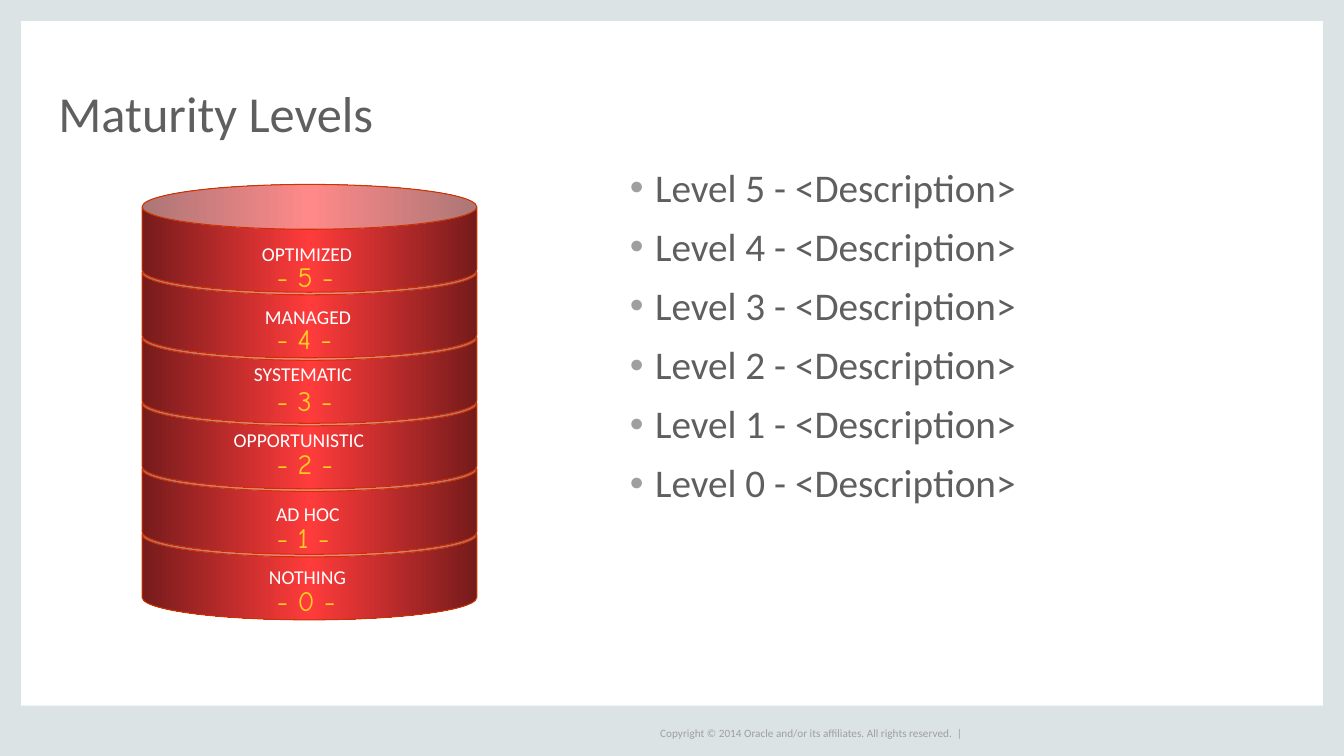
"""Build the Maturity Levels slide with a stack of six cans and a list of levels."""
from copy import deepcopy

from lxml.etree import SubElement
from pptx import Presentation
from pptx.dml.color import RGBColor
from pptx.enum.shapes import MSO_SHAPE
from pptx.enum.text import MSO_ANCHOR, MSO_AUTO_SIZE, PP_ALIGN
from pptx.oxml.ns import qn
from pptx.util import Pt

THEME = {
    "frame": "DCE3E4",
    "bullet": "9F9F9F",
    "edge": "CC3300",
    "red": ("761B1B", "FF3B3B", "761B1B"),
    "title": {"size": Pt(36), "name": "Calibri", "color": "5F5F5F"},
    "body": {"size": Pt(28), "name": "Calibri", "color": "5F5F5F"},
    "foot": {"size": Pt(8), "name": "Calibri", "color": "9F9F9F"},
    "label": {"size": Pt(14), "name": "Calibri", "color": "FFFFFF"},
    "digit": {"size": Pt(20), "name": "Comic Neue", "color": "FCCD22"},
}


def write(para, text, style):
    """Add a run of text in one of the theme styles."""
    run = para.add_run()
    run.text = text
    for key, value in THEME[style].items():
        if key == "color":
            run.font.color.rgb = RGBColor.from_string(value)
        else:
            setattr(run.font, key, value)


def add_box(left, top, width, height, **form):
    """Add a text box and set its frame from the format values."""
    box = slide.shapes.add_textbox(Pt(left), Pt(top), Pt(width), Pt(height))
    for key, value in form.items():
        setattr(box.text_frame, key, value)
    return box.text_frame


deck = Presentation()
deck.slide_width, deck.slide_height = Pt(960), Pt(540)
slide = deck.slides.add_slide(deck.slide_layouts[5])
flush = dict.fromkeys(("margin_left", "margin_top", "margin_right", "margin_bottom"), 0)

bars = [(0, 0, 15, 540), (945, 0, 15, 540), (0, 504, 960, 36), (0, 0, 960, 15)]
for area in bars:
    bar = slide.shapes.add_shape(MSO_SHAPE.RECTANGLE, *map(Pt, area))
    bar.shadow.inherit = False
    bar.fill.solid()
    bar.fill.fore_color.rgb = RGBColor.from_string(THEME["frame"])
    bar.line.fill.background()

foot = add_box(471.6, 516.24, 219.6, 14.4, word_wrap=False,
               vertical_anchor=MSO_ANCHOR.MIDDLE, **flush)
write(foot.paragraphs[0],
      "Copyright © 2014 Oracle and/or its affiliates. All rights reserved.  |", "foot")

title = slide.shapes.title
place = {"left": 41.76, "top": 31.68, "width": 876.24, "height": 69.84}
for key, value in place.items():
    setattr(title, key, Pt(value))
form = {"vertical_anchor": MSO_ANCHOR.BOTTOM, "auto_size": MSO_AUTO_SIZE.NONE, **flush}
for key, value in form.items():
    setattr(title.text_frame, key, value)
head = title.text_frame.paragraphs[0]
head.alignment, head.line_spacing = PP_ALIGN.LEFT, 0.8
write(head, "Maturity Levels", "title")

body = add_box(450, 120.24, 468, 347.76, word_wrap=True, **flush)
for level in range(5, -1, -1):
    para = body.paragraphs[0] if level == 5 else body.add_paragraph()
    props = para._p.get_or_add_pPr()
    props.set("marL", str(Pt(18)))
    props.set("indent", str(Pt(-18)))
    tint = SubElement(props, qn("a:buClr"))
    SubElement(tint, qn("a:srgbClr"), val=THEME["bullet"])
    SubElement(props, qn("a:buFont"), typeface="Arial")
    SubElement(props, qn("a:buChar"), char="•")
    para.line_spacing = 0.9
    if level < 5:
        para.space_before = Pt(12)
    write(para, f"Level {level} - <Description>", "body")

levels = [
    ("NOTHING", 185.04, 399.6, 79.92, 413.28),
    ("AD HOC", 190.08, 354.96, 70.56, 367.92),
    ("OPPORTUNISTIC", 159.84, 302.4, 131.04, 315.36),
    ("SYSTEMATIC", 174.24, 254.88, 104.4, 270.72),
    ("MANAGED", 182.16, 214.56, 87.84, 226.08),
    ("OPTIMIZED", 180, 169.2, 91.44, 182.16),
]
loose = {"word_wrap": False, "auto_size": MSO_AUTO_SIZE.SHAPE_TO_FIT_TEXT}
for level, (name, left, top, width, low) in enumerate(levels):
    can = slide.shapes.add_shape(MSO_SHAPE.CAN, Pt(101.52), Pt(365.76 - 46.8 * level),
                                 Pt(239.04), Pt(77.04))
    can.shadow.inherit = False
    can.adjustments[0] = 0.416
    can.line.color.rgb = RGBColor.from_string(THEME["edge"])
    can.line.width = Pt(0.75)
    can.fill.gradient()
    can.fill.gradient_angle = 0
    first = can._element.spPr.find(".//" + qn("a:gs"))
    first.addnext(deepcopy(first))
    for step, (stop, shade) in enumerate(zip(can.fill.gradient_stops, THEME["red"])):
        stop.position = step / 2
        stop.color.rgb = RGBColor.from_string(shade)
    label = add_box(left, top, width, 22.32, **loose)
    write(label.paragraphs[0], name, "label")
    digit = add_box(190.8, low, 69.12, 28.8, **loose)
    write(digit.paragraphs[0], f"- {level} -", "digit")

deck.save("out.pptx")
